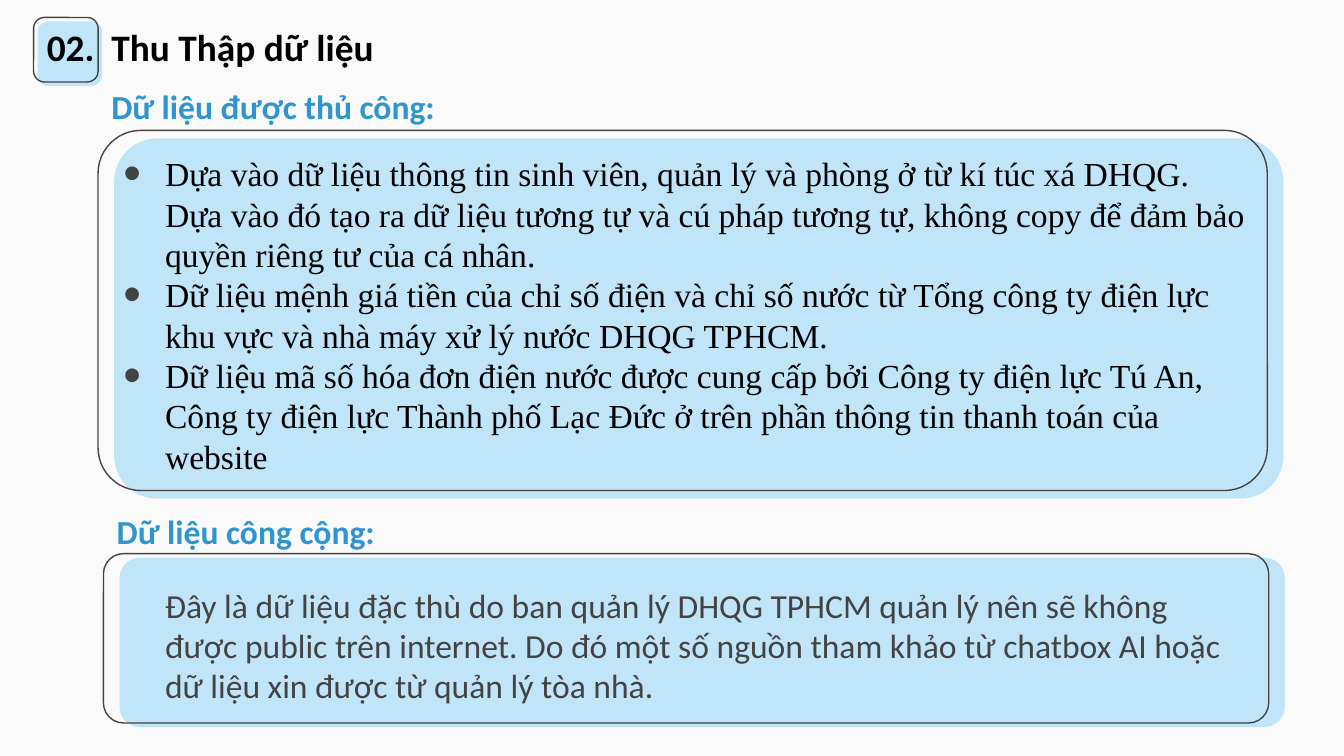
import pptx
import pptx.util
import pptx.dml.color
import pptx.enum.shapes
import pptx.enum.text
import lxml.etree
from pptx.util import Inches

RGBColor = pptx.dml.color.RGBColor
BACKGROUND = RGBColor(0xFA, 0xFA, 0xFA)
PALE_BLUE = RGBColor(0xC1, 0xE5, 0xF8)
BLUE = RGBColor(0x2E, 0x95, 0xCE)
GRAY = RGBColor(0x43, 0x43, 0x43)
BLACK = RGBColor(0, 0, 0)

TITLE = "02.\tThu Thập dữ liệu"
MANUAL_SOURCES = [
    "Dựa vào dữ liệu thông tin sinh viên, quản lý và phòng ở từ kí túc xá DHQG. "
    "Dựa vào đó tạo ra dữ liệu tương tự và cú pháp tương tự, không copy để đảm bảo "
    "quyền riêng tư của cá nhân.",
    "Dữ liệu mệnh giá tiền của chỉ số điện và chỉ số nước từ Tổng công ty điện lực "
    "khu vực và nhà máy xử lý nước DHQG TPHCM.",
    "Dữ liệu mã số hóa đơn điện nước được cung cấp bởi Công ty điện lực Tú An, "
    "Công ty điện lực Thành phố Lạc Đức ở trên phần thông tin thanh toán của website",
]
PUBLIC_SOURCE = (
    "Đây là dữ liệu đặc thù do ban quản lý DHQG TPHCM quản lý nên sẽ không "
    "được public trên internet. Do đó một số nguồn tham khảo từ chatbox AI hoặc "
    "dữ liệu xin được từ quản lý tòa nhà."
)


def add_element(p, tag, **attributes):
    return lxml.etree.SubElement(p._p.get_or_add_pPr(), pptx.oxml.ns.qn(tag), attributes)


def add_text(box, lines, size, color, font="Calibri", bold=False, inset=0.1,
             anchor=pptx.enum.text.MSO_ANCHOR.BOTTOM, bullets=False):
    tf = s.shapes.add_textbox(*[Inches(v) for v in box]).text_frame
    tf.word_wrap = True
    tf.vertical_anchor = anchor
    tf.margin_left = tf.margin_right = Inches(0.1)
    tf.margin_top = tf.margin_bottom = Inches(inset)
    for i, line in enumerate(lines):
        p = tf.paragraphs[0] if i == 0 else tf.add_paragraph()
        p.text = line
        if bullets:
            pPr = p._p.get_or_add_pPr()
            pPr.set("marL", str(Inches(0.31)))
            pPr.set("indent", str(Inches(-0.31)))
            bullet_color = add_element(p, "a:buClr")
            lxml.etree.SubElement(bullet_color, pptx.oxml.ns.qn("a:srgbClr"), val=str(GRAY))
            add_element(p, "a:buSzPct", val="150000")
            add_element(p, "a:buFont", typeface="Arial")
            add_element(p, "a:buChar", char="•")
        if "\t" in line:
            tabs = add_element(p, "a:tabLst")
            lxml.etree.SubElement(tabs, pptx.oxml.ns.qn("a:tab"), pos=str(Inches(0.48)), algn="l")
        p.font.name = font
        p.font.size = pptx.util.Pt(size)
        p.font.bold = bold
        p.font.color.rgb = color


prs = pptx.Presentation()
prs.slide_width = Inches(10)
prs.slide_height = Inches(10) * 9 // 16
s = prs.slides.add_slide(prs.slide_layouts[6])
s.background.fill.solid()
s.background.fill.fore_color.rgb = BACKGROUND

cards = [
    (0.25, 0.13, 0.48, 0.48, 0.03, 0.03, 0.167),
    (0.73, 0.97, 8.7, 2.68, 0.12, 0.06, 0.119),
    (0.77, 4.12, 8.67, 1.26, 0.12, 0.03, 0.119),
]
for left, top, width, height, dx, dy, radius in cards:
    for x, y, filled in [(left + dx, top + dy, True), (left, top, False)]:
        sp = s.shapes.add_shape(pptx.enum.shapes.MSO_SHAPE.ROUNDED_RECTANGLE,
                                Inches(x), Inches(y), Inches(width), Inches(height))
        sp.adjustments[0] = radius
        sp.shadow.inherit = False
        if filled:
            sp.fill.solid()
            sp.fill.fore_color.rgb = PALE_BLUE
            sp.line.fill.background()
        else:
            sp.fill.background()
            sp.line.color.rgb = GRAY
            sp.line.width = pptx.util.Pt(0.75)

add_text((0.25, 0.14, 2.82, 0.47), [TITLE], 20, BLACK, bold=True)
add_text((0.82, 1, 8.61, 2.64), MANUAL_SOURCES, 18, BLACK, font="Times New Roman", bullets=True)
add_text((1.13, 4.12, 8.16, 1.23), [PUBLIC_SOURCE], 18, GRAY)
for left, top, heading in [(0.73, 0.59, "Dữ liệu được thủ công:"), (0.77, 3.75, "Dữ liệu công cộng:")]:
    add_text((left, top, 2.77, 0.4), [heading], 18, BLUE, bold=True, inset=0.05,
             anchor=pptx.enum.text.MSO_ANCHOR.TOP)

prs.save("out.pptx")
